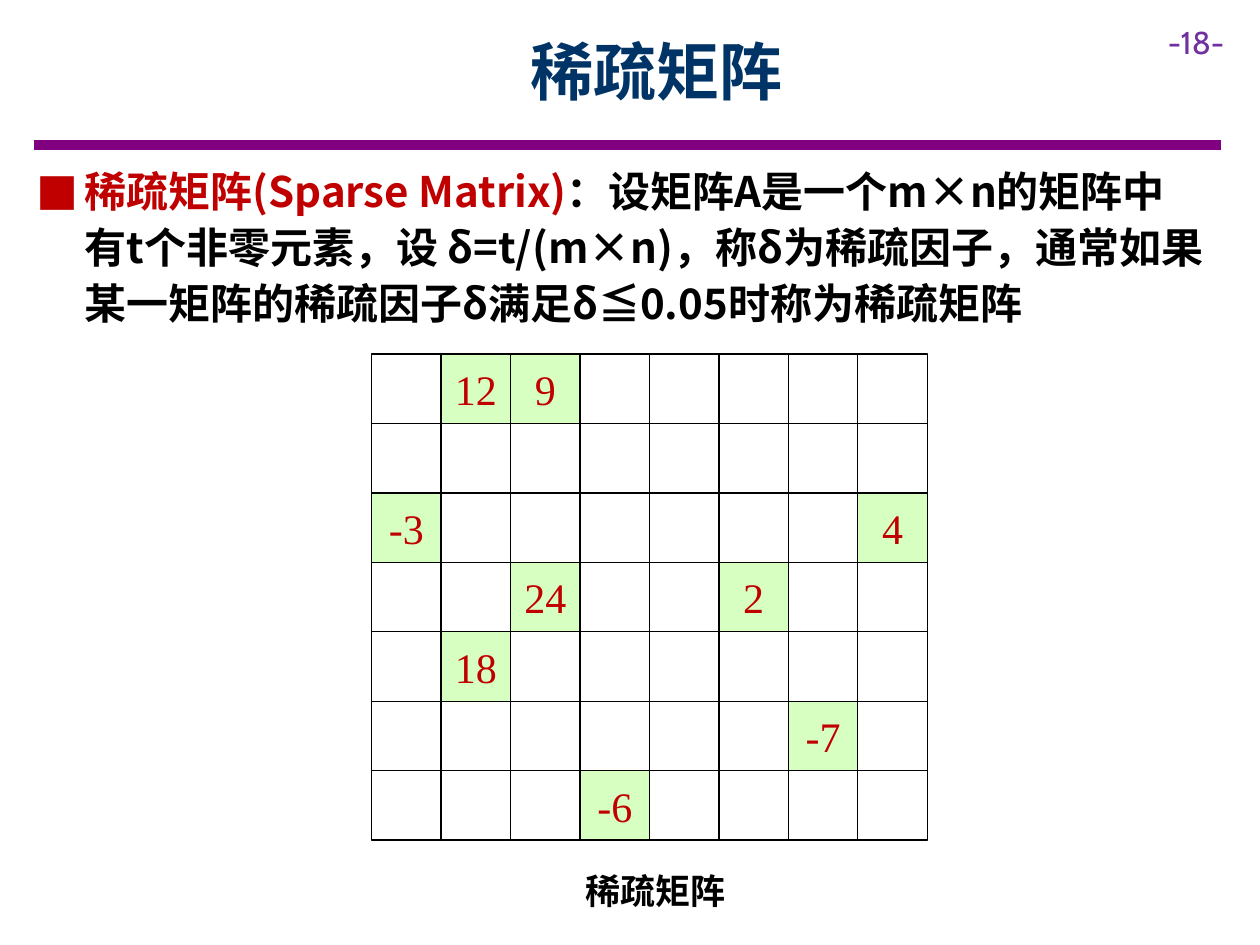
"""Build a slide that defines a sparse matrix and shows an example grid."""
from dataclasses import dataclass

from lxml import etree
from pptx import Presentation, util as u
from pptx.dml.color import RGBColor
from pptx.enum import shapes, text
from pptx.oxml.ns import qn

NAVY = RGBColor(0x00, 0x33, 0x66)
RED = RGBColor(0xC0, 0x00, 0x00)
PLUM = RGBColor(0x80, 0x00, 0x80)
VIOLET = RGBColor(0x70, 0x30, 0xA0)
LIME = RGBColor(0x99, 0xFF, 0x66)
BLACK = RGBColor(0x00, 0x00, 0x00)

WIDE, HIGH = u.Inches(10), u.Inches(7.5)
SANS, SERIF, LABEL = "Noto Sans CJK SC", "Times New Roman", "Cabin"
ROWS, COLS = 7, 8
LEFT, TOP, SIDE = 2.95, 2.81, 4.41 / COLS


@dataclass(frozen=True)
class Box:
    """Position and size as percent shares of the slide."""
    x: float
    y: float
    w: float
    h: float

    def put(self, shape) -> None:
        """Move a shape to this box."""
        shape.left, shape.top = int(WIDE * self.x / 100), int(HIGH * self.y / 100)
        shape.width, shape.height = int(WIDE * self.w / 100), int(HIGH * self.h / 100)


@dataclass(frozen=True)
class Style:
    """Look of a run of text."""
    size: float
    face: str
    color: RGBColor
    bold: bool = False


@dataclass(frozen=True)
class Cell:
    """Nonzero element of the matrix."""
    row: int
    col: int
    value: int


CELLS = (
    Cell(0, 1, 12), Cell(0, 2, 9), Cell(2, 0, -3), Cell(2, 7, 4), Cell(3, 2, 24),
    Cell(3, 5, 2), Cell(4, 1, 18), Cell(5, 6, -7), Cell(6, 3, -6),
)


def paint(run, style: Style) -> None:
    """Apply a style to a run."""
    font = run.font
    font.size, font.name, font.bold = u.Pt(style.size), style.face, style.bold
    font.color.rgb = style.color
    etree.SubElement(run._r.get_or_add_rPr(), qn("a:ea"), typeface=style.face)


def write(shape, words: str, style: Style) -> None:
    """Fill a shape with one styled paragraph."""
    shape.text_frame.text = words
    paint(shape.text_frame.paragraphs[0].runs[0], style)


def inset(frame, x: float, y: float) -> None:
    """Set the margins of a text frame in inches."""
    frame.margin_left = frame.margin_right = u.Inches(x)
    frame.margin_top = frame.margin_bottom = u.Inches(y)


def mark(para, sign: str, color: RGBColor) -> None:
    """Give a paragraph a hanging bullet."""
    props = para._p.get_or_add_pPr()
    props.set("marL", str(u.Inches(0.38)))
    props.set("indent", str(-u.Inches(0.38)))
    tint = etree.SubElement(props, qn("a:buClr"))
    etree.SubElement(tint, qn("a:srgbClr"), val=str(color))
    etree.SubElement(props, qn("a:buFont"), typeface=SANS)
    etree.SubElement(props, qn("a:buChar"), char=sign)


def rule(slide) -> None:
    """Draw the line under the title."""
    y = int(HIGH * 0.1535)
    line = slide.shapes.add_connector(
        shapes.MSO_CONNECTOR.STRAIGHT, int(WIDE * 0.027), y, int(WIDE * 0.969), y)
    line.line.color.rgb, line.line.width = PLUM, u.Pt(6)
    etree.SubElement(line._element.spPr, qn("a:effectLst"))


def head(slide) -> None:
    """Place the title."""
    title = slide.shapes.title
    Box(11.4, 2.9, 81.4, 9.1).put(title)
    write(title, "稀疏矩阵", Style(36, SANS, NAVY, True))
    frame = title.text_frame
    frame.auto_size = text.MSO_AUTO_SIZE.NONE
    frame.vertical_anchor = text.MSO_ANCHOR.MIDDLE
    frame.paragraphs[0].alignment = text.PP_ALIGN.CENTER
    inset(frame, 0.09, 0.04)


def define(slide) -> None:
    """Place the definition in the body."""
    body = slide.placeholders[1]
    Box(2, 16.4, 94.5, 19.2).put(body)
    frame = body.text_frame
    frame.auto_size = text.MSO_AUTO_SIZE.NONE
    inset(frame, 0.09, 0.04)
    para = frame.paragraphs[0]
    para.line_spacing, para.space_before = u.Pt(32), u.Pt(0)
    mark(para, "■", RED)
    parts = (
        ("稀疏矩阵(Sparse Matrix)", RED),
        ("：设矩阵A是一个m×n的矩阵中有t个非零元素，设 δ=t/(m×n)，称δ为稀疏因子，"
         "通常如果某一矩阵的稀疏因子δ满足δ≦0.05时称为稀疏矩阵", BLACK),
    )
    for words, color in parts:
        run = para.add_run()
        run.text = words
        paint(run, Style(24, SANS, color, True))


def label(slide, box: Box, words: str, style: Style):
    """Add a text box and return its paragraph."""
    note = slide.shapes.add_textbox(0, 0, 0, 0)
    box.put(note)
    write(note, words, style)
    return note.text_frame.paragraphs[0]


def grid(slide) -> None:
    """Draw the matrix and its nonzero cells."""
    values = {(cell.row, cell.col): cell.value for cell in CELLS}
    for row in range(ROWS):
        for col in range(COLS):
            tile = slide.shapes.add_shape(
                shapes.MSO_SHAPE.RECTANGLE, u.Inches(LEFT + col * SIDE),
                u.Inches(TOP + row * SIDE), u.Inches(SIDE), u.Inches(SIDE))
            tile.shadow.inherit = False
            tile.line.color.rgb, tile.line.width = BLACK, u.Pt(0.75)
            if (row, col) in values:
                fill(tile, values[row, col])
            else:
                tile.fill.background()


def fill(tile, value: int) -> None:
    """Tint a cell and show its value."""
    tile.fill.solid()
    tile.fill.fore_color.rgb = LIME
    tint = tile._element.spPr.find(qn("a:solidFill"))[0]
    etree.SubElement(tint, qn("a:alpha"), val="40000")
    write(tile, str(value), Style(24, SERIF, RED))
    frame = tile.text_frame
    frame.vertical_anchor = text.MSO_ANCHOR.MIDDLE
    frame.paragraphs[0].alignment = text.PP_ALIGN.CENTER
    inset(frame, 0.1, 0.1)


def main() -> None:
    """Build and save the slide."""
    deck = Presentation()
    deck.slide_width, deck.slide_height = WIDE, HIGH
    slide = deck.slides.add_slide(deck.slide_layouts[1])
    rule(slide)
    label(slide, Box(91.7, 1.73, 8.3, 5.33), "-18-", Style(18, LABEL, VIOLET))
    head(slide)
    define(slide)
    grid(slide)
    name = label(slide, Box(45.5, 89.87, 13.2, 6.67), "稀疏矩阵",
                 Style(20, SANS, BLACK, True))
    name.line_spacing = u.Pt(32)
    deck.save("out.pptx")


if __name__ == "__main__":
    main()
